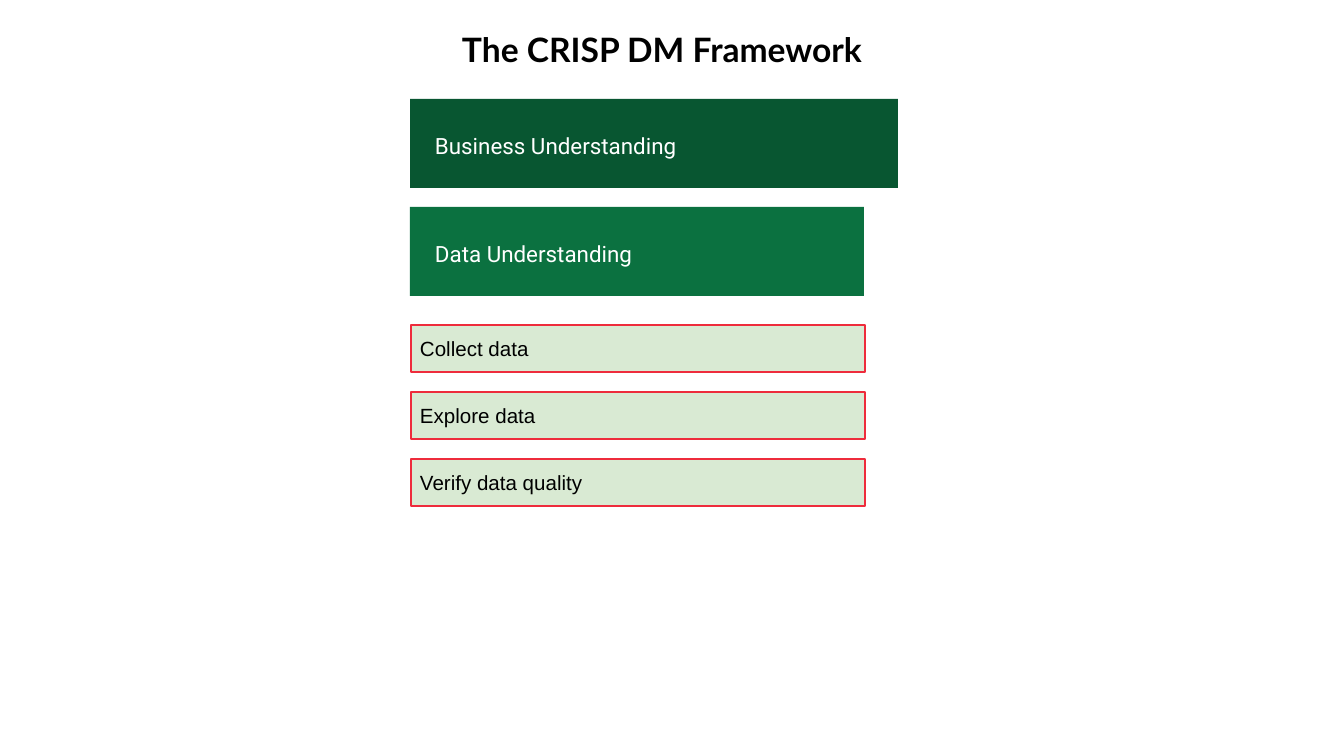
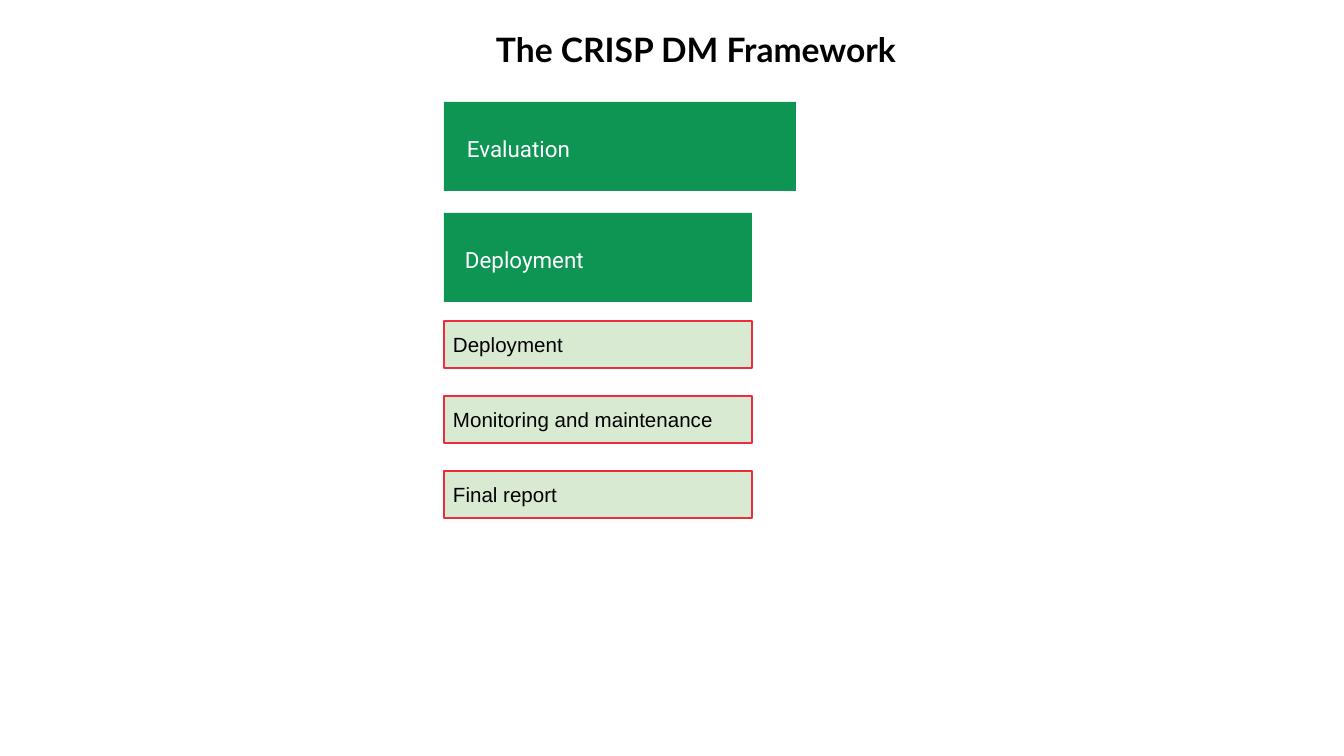
from pptx import Presentation
from pptx.dml.color import RGBColor
from pptx.enum.shapes import MSO_SHAPE
from pptx.enum.text import MSO_ANCHOR, PP_ALIGN
from pptx.util import Pt

PX = 914400 / 134.4
WIDTH, HEIGHT = 1344, 756

COLORS = {
    "forest": "085631",
    "green": "0B7140",
    "emerald": "0E9453",
    "mint": "D9EAD3",
    "red": "EE2C3C",
    "black": "000000",
    "white": "FFFFFF",
}

TITLE = "The CRISP DM Framework"
TITLE_TOP, TITLE_WIDTH, TITLE_HEIGHT = 24, 470, 58
BAR_HEIGHT, TASK_HEIGHT = 89, 47

STYLES = {
    "title": {
        "font": {"name": "Lato", "size": Pt(18), "bold": True},
        "color": "black",
        "paragraph": {"alignment": PP_ALIGN.CENTER},
        "anchor": MSO_ANCHOR.TOP,
        "insets": (9, 5),
    },
    "phase": {
        "font": {"name": "Roboto", "size": Pt(12)},
        "color": "white",
        "paragraph": {"alignment": PP_ALIGN.LEFT, "line_spacing": 1.15},
        "anchor": MSO_ANCHOR.MIDDLE,
        "insets": (13, 7),
    },
    "task": {
        "font": {"name": "Arial", "size": Pt(11)},
        "color": "black",
        "paragraph": {"alignment": PP_ALIGN.LEFT},
        "anchor": MSO_ANCHOR.MIDDLE,
        "insets": (9, 9),
    },
}

SLIDES = [
    {
        "title_left": 427,
        "left": 410,
        "phases": [
            {"text": "Business Understanding", "color": "forest", "top": 99, "width": 488,
             "label": (422, 445, 70), "grouped": True},
            {"text": "Data Understanding", "color": "green", "top": 207, "width": 454,
             "label": (422, 409, 41), "grouped": True},
        ],
        "tasks": ["Collect data", "Explore data", "Verify data quality"],
        "task_left": 411,
        "task_top": 325,
        "task_step": 67,
    },
    {
        "title_left": 461,
        "left": 444,
        "phases": [
            {"text": "Evaluation", "color": "emerald", "top": 102, "width": 352,
             "label": (454, 327, 41), "grouped": True},
            {"text": "Deployment", "color": "emerald", "top": 213, "width": 308,
             "label": (452, 327, 41), "grouped": False},
        ],
        "tasks": ["Deployment", "Monitoring and maintenance", "Final report"],
        "task_left": 444,
        "task_top": 321,
        "task_step": 75,
    },
]


def px(value):
    return round(value * PX)


def rgb(name):
    return RGBColor.from_string(COLORS[name])


def apply(target, values):
    for name, value in values.items():
        setattr(target, name, value)


def write(box, text, style):
    frame = box.text_frame
    across, down = map(px, style["insets"])
    apply(frame, {
        "word_wrap": True,
        "vertical_anchor": style["anchor"],
        "margin_left": across,
        "margin_right": across,
        "margin_top": down,
        "margin_bottom": down,
    })
    para = frame.paragraphs[0]
    apply(para, style["paragraph"])
    span = para.add_run()
    span.text = text
    apply(span.font, style["font"])
    span.font.color.rgb = rgb(style["color"])


def add_label(shapes, bounds, text, style):
    box = shapes.add_textbox(*map(px, bounds))
    write(box, text, STYLES[style])


def add_bar(shapes, bounds, fill, line=None):
    bar = shapes.add_shape(MSO_SHAPE.RECTANGLE, *map(px, bounds))
    bar.shadow.inherit = False
    bar.fill.solid()
    bar.fill.fore_color.rgb = rgb(fill)
    if line:
        bar.line.color.rgb = rgb(line)
        bar.line.width = Pt(0.75)
    else:
        bar.line.fill.background()
    return bar


def add_phase(page, left, phase):
    shapes = page.shapes.add_group_shape().shapes if phase["grouped"] else page.shapes
    add_bar(shapes, (left, phase["top"], phase["width"], BAR_HEIGHT), phase["color"])
    label_left, width, height = phase["label"]
    label_top = phase["top"] + (BAR_HEIGHT - height) / 2
    add_label(shapes, (label_left, label_top, width, height), phase["text"], "phase")


def build_slide(deck, content):
    page = deck.slides.add_slide(deck.slide_layouts[6])
    title_bounds = (content["title_left"], TITLE_TOP, TITLE_WIDTH, TITLE_HEIGHT)
    add_label(page.shapes, title_bounds, TITLE, "title")
    for phase in content["phases"]:
        add_phase(page, content["left"], phase)
    task_width = content["phases"][-1]["width"]
    for index, task in enumerate(content["tasks"]):
        top = content["task_top"] + index * content["task_step"]
        bounds = (content["task_left"], top, task_width, TASK_HEIGHT)
        write(add_bar(page.shapes, bounds, "mint", "red"), task, STYLES["task"])


def main():
    deck = Presentation()
    deck.slide_width, deck.slide_height = px(WIDTH), px(HEIGHT)
    for content in SLIDES:
        build_slide(deck, content)
    deck.save("out.pptx")


if __name__ == "__main__":
    main()
